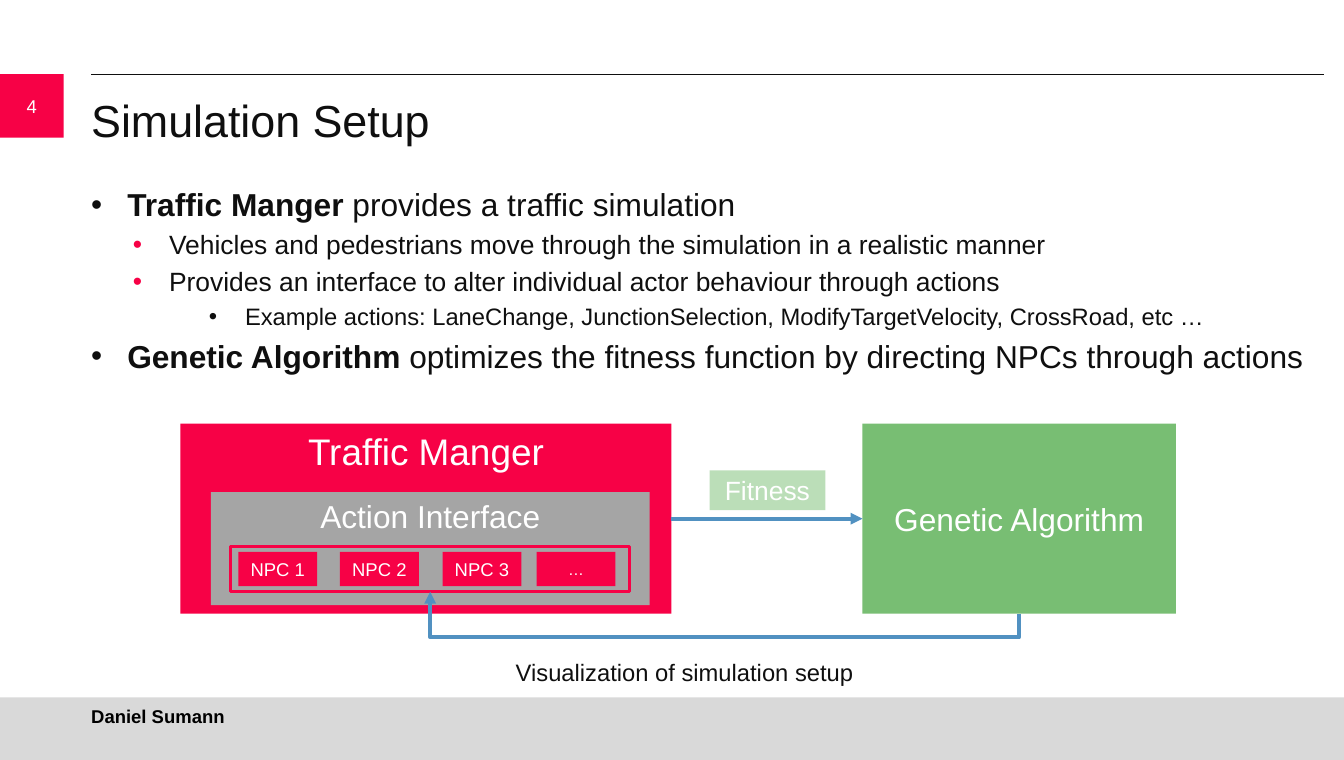
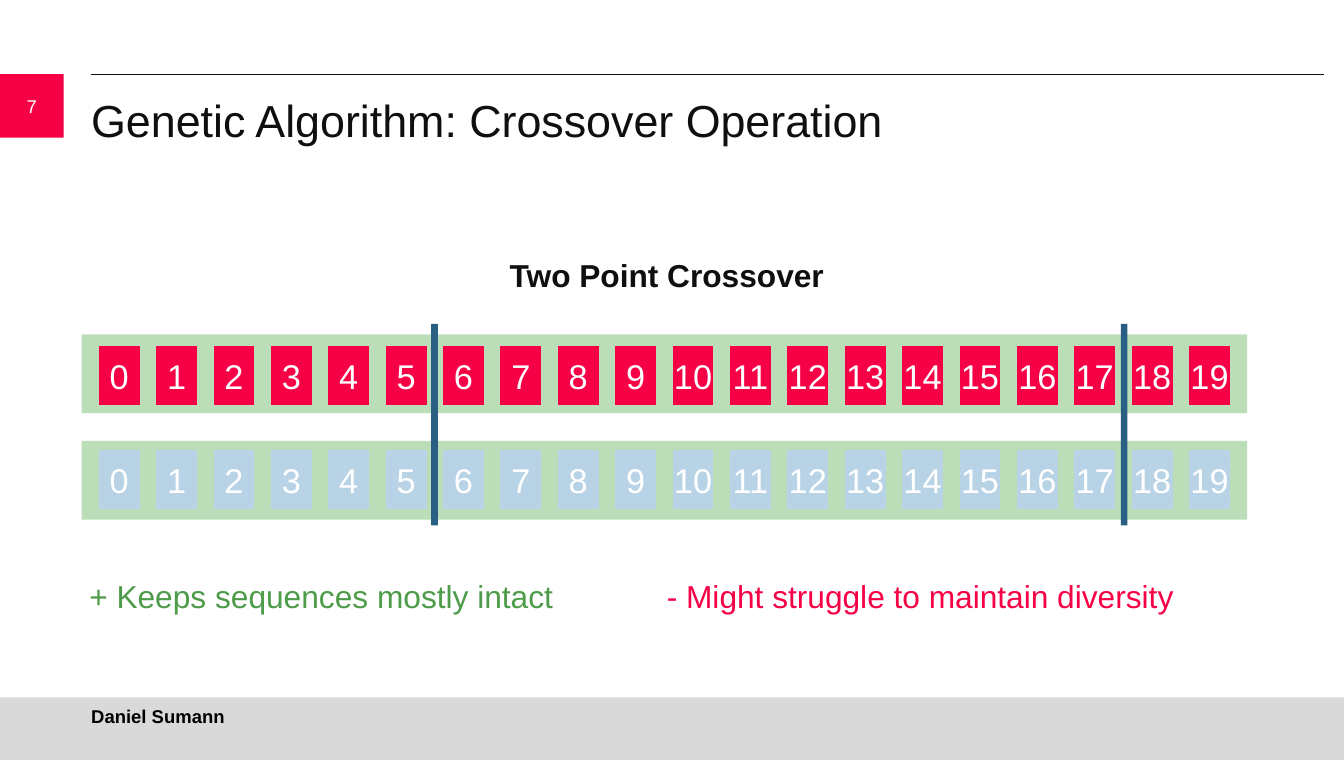
from lxml import etree
from pptx import Presentation
from pptx.dml.color import RGBColor
from pptx.enum.shapes import MSO_CONNECTOR, MSO_SHAPE
from pptx.enum.text import MSO_ANCHOR, MSO_AUTO_SIZE, PP_ALIGN
from pptx.oxml.ns import qn
from pptx.util import Inches, Pt

RECT, PROCESS = MSO_SHAPE.RECTANGLE, MSO_SHAPE.FLOWCHART_PROCESS
STRAIGHT, ELBOW = MSO_CONNECTOR.STRAIGHT, MSO_CONNECTOR.ELBOW
TOP, MIDDLE = MSO_ANCHOR.TOP, MSO_ANCHOR.MIDDLE
LEFT, CENTER = PP_ALIGN.LEFT, PP_ALIGN.CENTER
TITLE_AND_BODY, TITLE_ONLY = 1, 5
SIDE_LEFT, SIDE_RIGHT = 1, 3

FONT = "Arial"
COLORS = {
    "red": "F70146", "green": "78BE73", "dark_green": "4E9C49",
    "blue": "5191C1", "light_blue": "B9D3E6", "dark_blue": "285F82",
    "gray": "A5A5A5", "band": "D9D9D9", "text": "0F0F0F",
    "black": "000000", "white": "FFFFFF",
}
DEFAULT_INSETS = (0.1, 0.05, 0.1, 0.05)
NO_INSETS = (0, 0, 0, 0)
BOX_INSETS = (0, 0.05, 0.1, 0.05)
# Per list level: text indent, font size, bullet colour
LEVELS = [(0.38, 24, "text"), (0.82, 20, "red"), (1.62, 18, "text")]
HANGING = 0.38


def rgb(name):
    return RGBColor.from_string(COLORS[name])


def add_run(p, text, size=24, color="text", bold=False):
    r = p.add_run()
    r.text = text
    r.font.name, r.font.size, r.font.bold = FONT, Pt(size), bold
    r.font.color.rgb = rgb(color)


def set_frame(tf, insets, anchor, wrap=True):
    tf.auto_size = MSO_AUTO_SIZE.NONE
    tf.word_wrap = wrap
    tf.vertical_anchor = anchor
    tf.margin_left, tf.margin_top, tf.margin_right, tf.margin_bottom = map(Inches, insets)


def set_bullet(p, level):
    indent, _, color = LEVELS[level]
    p.level = level
    pPr = p._p.get_or_add_pPr()
    pPr.set("marL", str(Inches(indent)))
    pPr.set("indent", str(-Inches(HANGING)))
    bu_clr = etree.SubElement(pPr, qn("a:buClr"))
    etree.SubElement(bu_clr, qn("a:srgbClr"), val=COLORS[color])
    etree.SubElement(pPr, qn("a:buFont"), typeface=FONT)
    etree.SubElement(pPr, qn("a:buChar"), char="•")


class Deck:
    """Holds the presentation style and the slide being built."""

    def __init__(self):
        self.prs = Presentation()
        self.prs.slide_width, self.prs.slide_height = Inches(14.15), Inches(8)
        self.slide = None

    def new_slide(self, title, number, layout):
        self.slide = self.prs.slides.add_slide(self.prs.slide_layouts[layout])
        self.rect(0, 0.78, 0.67, 0.67, "red", str(number), size=14, insets=NO_INSETS)
        self.rect(0, 7.34, 14.15, 0.66, "band")
        self.line(0.96, 0.78, 13.94, 0.78, "text", 0.5)
        self.text(0.96, 7.42, 12.81, 0.24, "Daniel Sumann", insets=NO_INSETS,
                  anchor=MIDDLE, size=14, color="black", bold=True)
        tf = self.placeholder(0, 0.96, 0.98, 12.99, 0.67)
        tf.paragraphs[0].alignment = LEFT
        add_run(tf.paragraphs[0], title, size=34)

    def placeholder(self, idx, x, y, w, h):
        sp = self.slide.placeholders[idx]
        sp.left, sp.top, sp.width, sp.height = map(Inches, (x, y, w, h))
        set_frame(sp.text_frame, NO_INSETS, TOP)
        return sp.text_frame

    def bullets(self, items):
        """Fill the body from (level, bold lead, text) items."""
        tf = self.placeholder(1, 0.96, 1.95, 12.99, 4.8)
        for i, (level, lead, text) in enumerate(items):
            p = tf.add_paragraph() if i else tf.paragraphs[0]
            size = LEVELS[level][1]
            set_bullet(p, level)
            p.space_before = Pt(0.2 * size if i else 0)
            if lead:
                add_run(p, lead, size=size, bold=True)
            add_run(p, text, size=size)

    def rect(self, x, y, w, h, fill=None, text="", shape=RECT, outline=None,
             alpha=None, insets=DEFAULT_INSETS, anchor=MIDDLE, size=24):
        sp = self.slide.shapes.add_shape(shape, *map(Inches, (x, y, w, h)))
        sp.shadow.inherit = False
        if fill:
            sp.fill.solid()
            sp.fill.fore_color.rgb = rgb(fill)
        else:
            sp.fill.background()
        if alpha:
            clr = sp._element.spPr.find(".//" + qn("a:srgbClr"))
            etree.SubElement(clr, qn("a:alpha"), val=str(alpha * 1000))
        if outline:
            sp.line.color.rgb = rgb(outline)
            sp.line.width = Pt(2.25)
        else:
            sp.line.fill.background()
        if text:
            set_frame(sp.text_frame, insets, anchor)
            p = sp.text_frame.paragraphs[0]
            p.alignment = CENTER
            add_run(p, text, size=size, color="white")
        return sp

    def text(self, x, y, w, h, text, insets=BOX_INSETS, anchor=TOP, align=LEFT,
             wrap=True, **fmt):
        sp = self.slide.shapes.add_textbox(*map(Inches, (x, y, w, h)))
        set_frame(sp.text_frame, insets, anchor, wrap)
        p = sp.text_frame.paragraphs[0]
        p.alignment = align
        add_run(p, text, **fmt)

    def line(self, x1, y1, x2, y2, color, width, kind=STRAIGHT, arrow=False):
        cx = self.slide.shapes.add_connector(kind, *map(Inches, (x1, y1, x2, y2)))
        cx.line.color.rgb = rgb(color)
        cx.line.width = Pt(width)
        if arrow:
            etree.SubElement(cx.line._get_or_add_ln(), qn("a:tailEnd"), type="triangle")
        etree.SubElement(cx._element.spPr, qn("a:effectLst"))
        return cx

    def arrow_between(self, left, right):
        cx = self.line(0, 0, 1, 1, "blue", 3, arrow=True)
        cx.begin_connect(left, SIDE_RIGHT)
        cx.end_connect(right, SIDE_LEFT)

    def arrow_below(self, x1, y1, x2, y2, drop):
        """Run an elbow arrow down by drop, then left and up to its end."""
        mid_x, mid_y = (x1 + x2) / 2, (y1 + y2) / 2
        rise, run = y1 - y2, x1 - x2
        cx = self.line(mid_x + rise / 2, mid_y - run / 2,
                       mid_x - rise / 2, mid_y + run / 2,
                       "blue", 3, kind=ELBOW, arrow=True)
        spPr = cx._element.spPr
        spPr.find(qn("a:xfrm")).set("rot", "5400000")
        geom = spPr.find(qn("a:prstGeom"))
        av = geom.find(qn("a:avLst"))
        if av is None:
            av = etree.SubElement(geom, qn("a:avLst"))
        etree.SubElement(av, qn("a:gd"), name="adj1",
                         fmla=f"val {round(-drop / rise * 100000)}")


def simulation_setup(deck):
    deck.new_slide("Simulation Setup", 4, TITLE_AND_BODY)
    deck.bullets([
        (0, "Traffic Manger ", "provides a traffic simulation"),
        (1, "", "Vehicles and pedestrians move through the simulation in a realistic manner"),
        (1, "", "Provides an interface to alter individual actor behaviour through actions"),
        (2, "", "Example actions: LaneChange, JunctionSelection, "
                "ModifyTargetVelocity, CrossRoad, etc …"),
        (0, "Genetic Algorithm ",
         "optimizes the fitness function by directing NPCs through actions"),
    ])
    manager = deck.rect(1.9, 4.46, 5.17, 2, "red", "Traffic Manger", anchor=TOP, size=28)
    deck.rect(2.22, 5.18, 4.62, 1.19, "gray", "Action Interface", anchor=TOP)
    deck.rect(2.43, 5.75, 4.2, 0.48, outline="red")
    for x, label, size in [(2.51, "NPC 1", 14), (3.58, "NPC 2", 14),
                           (4.66, "NPC 3", 14), (5.65, "…", 12)]:
        deck.rect(x, 5.81, 0.83, 0.36, "red", label, size=size)
    algorithm = deck.rect(9.08, 4.46, 3.3, 2, "green", "Genetic Algorithm")
    deck.arrow_between(manager, algorithm)
    deck.arrow_below(10.73, 6.46, 4.53, 6.23, drop=0.25)
    deck.rect(7.47, 4.95, 1.22, 0.42, "green", "Fitness", alpha=50, size=20)
    deck.text(5.43, 6.88, 3.69, 0.4, "Visualization of simulation setup",
              wrap=False, size=18)


def crossover(deck):
    deck.new_slide("Genetic Algorithm: Crossover Operation", 7, TITLE_ONLY)
    genes, first_x, last_x = 20, 1.04, 12.52
    pitch = (last_x - first_x) / (genes - 1)
    for band_y, gene_y, color in [(3.52, 3.64, "red"), (4.64, 4.74, "light_blue")]:
        deck.rect(0.86, band_y, 12.27, 0.83, "green", alpha=50)
        for i in range(genes):
            deck.rect(first_x + i * pitch, gene_y, 0.43, 0.62, color, str(i),
                      shape=PROCESS, insets=NO_INSETS, size=26)
    for cut_x in (4.54, 11.8):
        deck.rect(cut_x, 3.41, 0.07, 2.12, "dark_blue")
    deck.text(5.35, 2.64, 3.44, 0.5, "Two Point Crossover", align=CENTER, bold=True)
    deck.text(0.94, 6.02, 6.08, 0.5, "+ Keeps sequences mostly intact", color="dark_green")
    deck.text(7.02, 6.02, 6.19, 0.5, "- Might struggle to maintain diversity", color="red")


def main():
    deck = Deck()
    simulation_setup(deck)
    crossover(deck)
    deck.prs.save("out.pptx")


if __name__ == "__main__":
    main()
